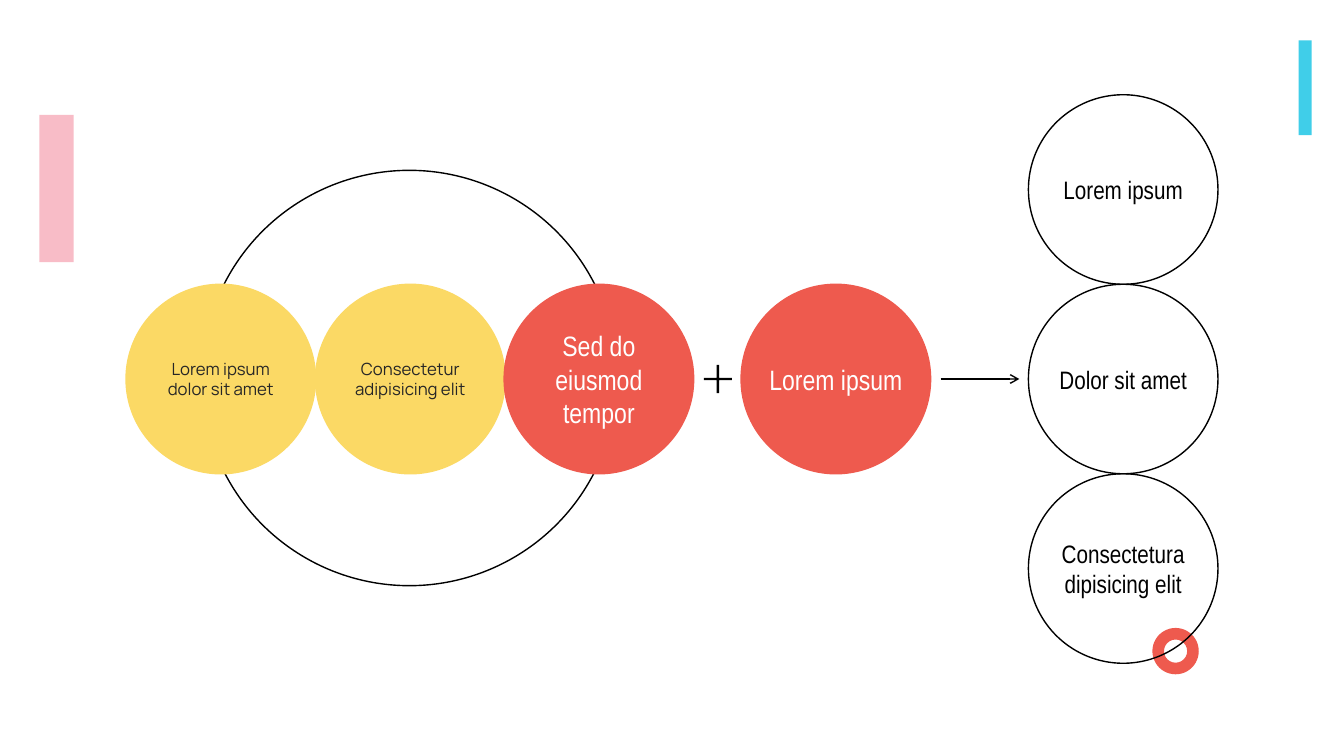
from dataclasses import dataclass

from lxml import etree
from pptx import Presentation
from pptx.dml.color import RGBColor
from pptx.enum.shapes import MSO_CONNECTOR, MSO_SHAPE
from pptx.enum.text import MSO_ANCHOR, PP_ALIGN
from pptx.oxml.ns import qn
from pptx.util import Inches, Pt

RECTANGLE = MSO_SHAPE.RECTANGLE
OVAL = MSO_SHAPE.OVAL
DONUT = MSO_SHAPE.DONUT
PLUS = MSO_SHAPE.CROSS
STRAIGHT = MSO_CONNECTOR.STRAIGHT
MIDDLE = MSO_ANCHOR.MIDDLE
CENTER = PP_ALIGN.CENTER


@dataclass(frozen=True)
class Theme:
    pink: str = "F8BCC7"
    red: str = "EE5A4E"
    blue: str = "40CEE9"
    yellow: str = "FBD965"
    black: str = "000000"
    dark: str = "262626"
    white: str = "FFFFFF"
    small: int = 12
    medium: int = 18
    large: int = 20
    line: int = 1
    narrow: str = "Arial Narrow"
    sans: str = "Manrope"


THEME = Theme()

presentation = Presentation()
presentation.slide_width = Inches(13.33)
presentation.slide_height = Inches(7.5)
slide = presentation.slides.add_slide(presentation.slide_layouts[6])


def add_shape(kind, left, top, width, height, fill=None, line=None):
    shape = slide.shapes.add_shape(
        kind, Inches(left), Inches(top), Inches(width), Inches(height))
    shape.shadow.inherit = False
    if fill:
        shape.fill.solid()
        shape.fill.fore_color.rgb = RGBColor.from_string(fill)
    else:
        shape.fill.background()
    if line:
        shape.line.color.rgb = RGBColor.from_string(line)
        shape.line.width = Pt(THEME.line)
    else:
        shape.line.fill.background()
    return shape


def write_text(shape, text, size, font, color):
    frame = shape.text_frame
    frame.word_wrap = True
    frame.vertical_anchor = MIDDLE
    frame.margin_left = frame.margin_right = 0
    frame.margin_top = frame.margin_bottom = 0
    paragraph = frame.paragraphs[0]
    paragraph.alignment = CENTER
    run = paragraph.add_run()
    run.text = text
    run.font.size = Pt(size)
    run.font.name = font
    run.font.color.rgb = RGBColor.from_string(color)


# Decoration
add_shape(RECTANGLE, 0.39, 1.14, 0.34, 1.46, fill=THEME.pink)
add_shape(DONUT, 11.43, 6.23, 0.46, 0.46, fill=THEME.red)
add_shape(RECTANGLE, 12.88, 0.4, 0.13, 0.94, fill=THEME.blue)

# Large ring behind the row
add_shape(OVAL, 2, 1.69, 4.12, 4.12, line=THEME.black)

# Row of filled circles
DIAMETER = 1.88
ROW_TOP = 2.82
yellow_text = {"size": THEME.small, "font": THEME.sans, "color": THEME.dark}
red_text = {"size": THEME.large, "font": THEME.narrow, "color": THEME.white}
filled_circles = [
    (1.25, "Lorem ipsum dolor sit amet", THEME.yellow, yellow_text),
    (3.13, "Consectetur adipisicing elit", THEME.yellow, yellow_text),
    (5, "Sed do eiusmod tempor", THEME.red, red_text),
    (7.35, "Lorem ipsum", THEME.red, red_text),
]
for left, text, color, text_format in filled_circles:
    circle = add_shape(OVAL, left, ROW_TOP, DIAMETER, DIAMETER,
                       fill=color, line=color)
    write_text(circle, text, **text_format)

# Plus sign
plus = add_shape(PLUS, 6.98, 3.62, 0.28, 0.28, fill=THEME.black)
plus.adjustments[0] = 0.457

# Arrow to the results
arrow_y = Inches(ROW_TOP + DIAMETER / 2)
arrow = slide.shapes.add_connector(
    STRAIGHT, Inches(9.33), arrow_y, Inches(10.11), arrow_y)
arrow.line.color.rgb = RGBColor.from_string(THEME.black)
arrow.line.width = Pt(THEME.line)
etree.SubElement(arrow.line._get_or_add_ln(), qn("a:tailEnd"), type="arrow")
etree.SubElement(arrow._element.spPr, qn("a:effectLst"))

# Column of outlined circles
results = ["Lorem ipsum", "Dolor sit amet", "Consecteturadipisicing elit"]
for index, text in enumerate(results):
    circle = add_shape(OVAL, 10.2, 0.94 + index * DIAMETER, DIAMETER, DIAMETER,
                       line=THEME.black)
    write_text(circle, text, size=THEME.medium, font=THEME.narrow,
               color=THEME.black)

presentation.save("out.pptx")
